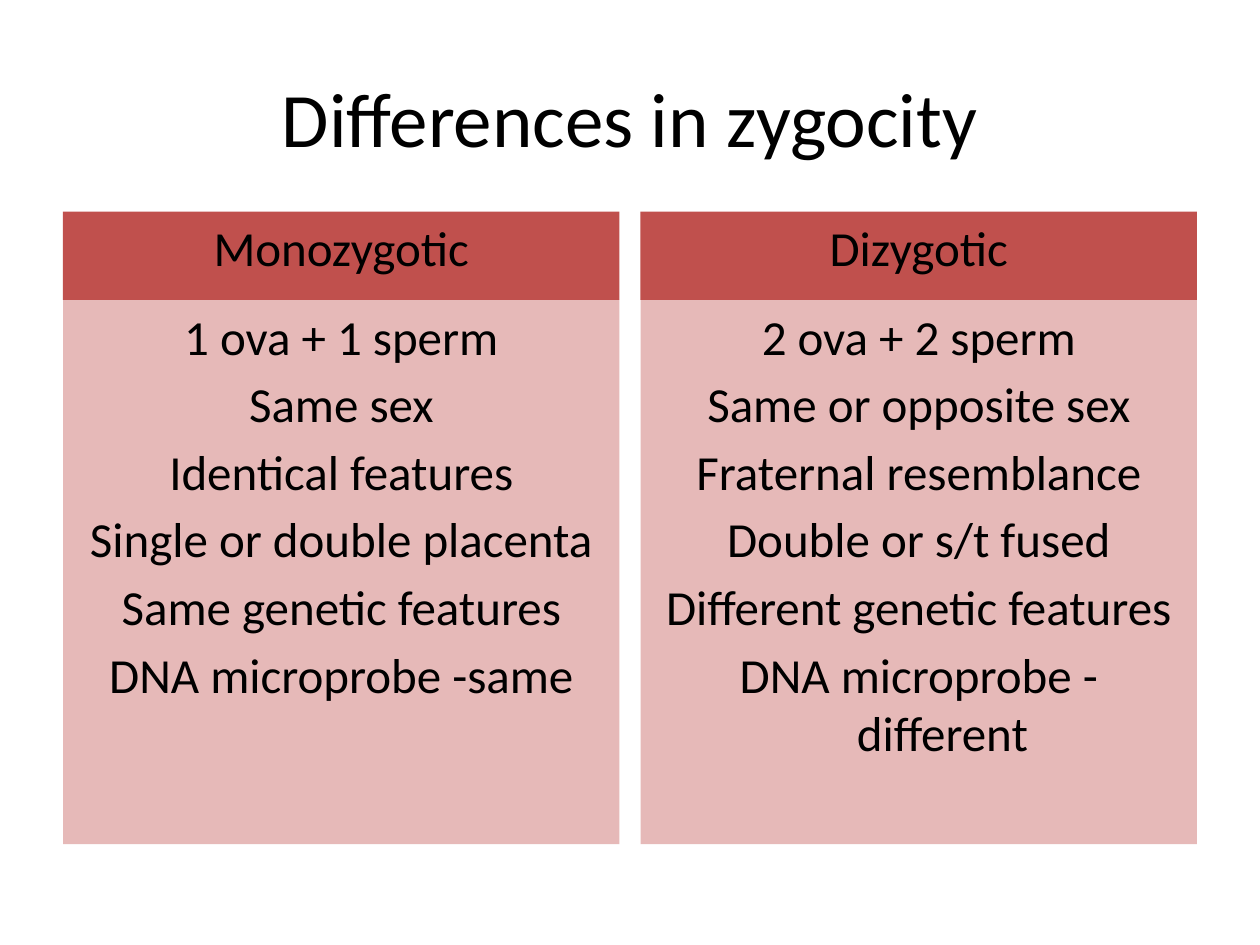
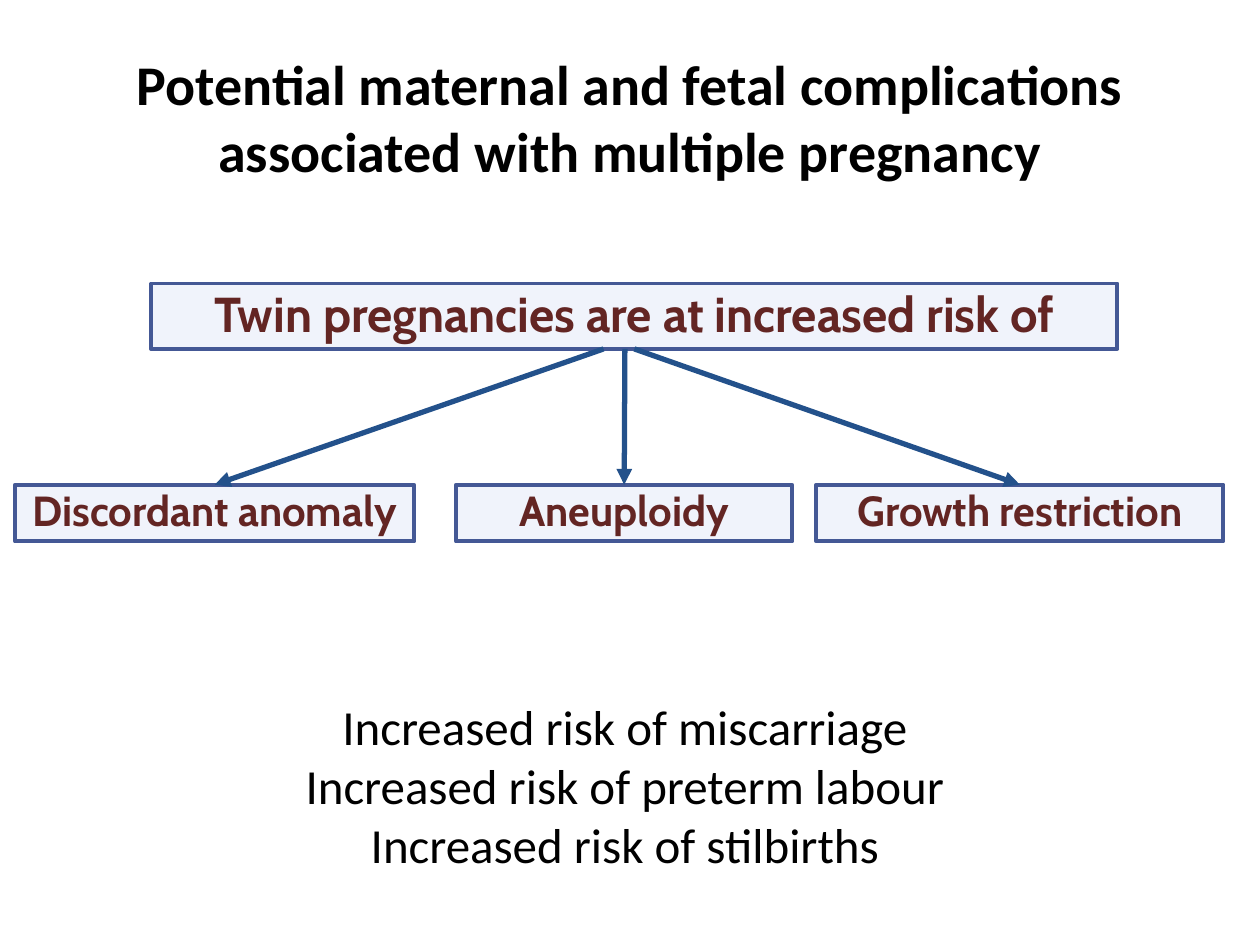
from lxml import etree
from pptx import Presentation
from pptx.dml.color import RGBColor
from pptx.enum.shapes import MSO_CONNECTOR, MSO_SHAPE
from pptx.enum.text import MSO_ANCHOR, MSO_AUTO_SIZE, PP_ALIGN
from pptx.oxml.ns import qn
from pptx.util import Pt

RECTANGLE = MSO_SHAPE.RECTANGLE
STRAIGHT = MSO_CONNECTOR.STRAIGHT
CENTER = PP_ALIGN.CENTER
TOP, MIDDLE = MSO_ANCHOR.TOP, MSO_ANCHOR.MIDDLE
FIXED, GROW = MSO_AUTO_SIZE.NONE, MSO_AUTO_SIZE.SHAPE_TO_FIT_TEXT
SIDE_TOP, SIDE_BOTTOM = 0, 2
TWO_CONTENT, TITLE_ONLY = 3, 5

COLORS = {
    "text": "000000",
    "header": "C0504D",
    "column": "E6B9B8",
    "risk_fill": "F0F3FB",
    "risk_line": "445895",
    "risk_text": "632523",
    "arrow": "23518B",
}
TITLE_BOX = (36, 21.6, 648, 90)
COLUMN_TOP, COLUMN_WIDTH, COLUMN_HEIGHT = 121, 318, 361.4
COLUMN_LEFTS = (36, 366)
HEADER_HEIGHT = 50.4
HANGING = 27

COLUMNS = (
    ("Monozygotic", (
        "1 ova + 1 sperm", "Same sex", "Identical features",
        "Single or double placenta", "Same genetic features",
        "DNA microprobe -same")),
    ("Dizygotic", (
        "2 ova + 2 sperm", "Same or opposite sex", "Fraternal resemblance",
        "Double or s/t fused", "Different genetic features",
        "DNA microprobe - different")),
)
RISK_HEADING = "Twin pregnancies are at increased risk of"
RISKS = (
    ("Discordant anomaly", 0, 228.2, 258.5),
    ("Aneuploidy", 252, 192.2, 270.7),
    ("Growth restriction", 457.9, 232.6, None),
)
OUTCOMES = (
    "Increased risk of miscarriage",
    "Increased risk of preterm labour",
    "Increased risk of stilbirths",
)


def rgb(name):
    return RGBColor.from_string(COLORS[name])


def set_format(target, values):
    for name, value in values.items():
        setattr(target, name, value)


def place(shape, box):
    set_format(shape, dict(zip(("left", "top", "width", "height"), map(Pt, box))))


def write(shape, lines, size, color="text", font="Calibri", bold=False,
          anchor=TOP, fit=FIXED, inset=None, gap=0, hanging=0):
    frame = shape.text_frame
    set_format(frame, {"word_wrap": True, "vertical_anchor": anchor, "auto_size": fit})
    if inset is not None:
        sides = ("left", "top", "right", "bottom")
        set_format(frame, {f"margin_{side}": Pt(inset) for side in sides})
    for index, line in enumerate(lines):
        para = frame.add_paragraph() if index else frame.paragraphs[0]
        para.text = line
        set_format(para, {"alignment": CENTER, "space_before": Pt(gap if index else 0)})
        if hanging:
            properties = para._p.get_or_add_pPr()
            properties.set("marL", str(Pt(hanging)))
            properties.set("indent", str(-Pt(hanging)))
            etree.SubElement(properties, qn("a:buNone"))
        set_format(para.font, {"name": font, "size": Pt(size), "bold": bold})
        para.font.color.rgb = rgb(color)


def add_rectangle(page, box, fill, line=None):
    shape = page.shapes.add_shape(RECTANGLE, *map(Pt, box))
    shape.shadow.inherit = False
    shape.fill.solid()
    shape.fill.fore_color.rgb = rgb(fill)
    if line:
        shape.line.color.rgb = rgb(line)
        shape.line.width = Pt(2.25)
    else:
        shape.line.fill.background()
    return shape


def add_page(deck, layout, title, size, bold=False):
    page = deck.slides.add_slide(deck.slide_layouts[layout])
    place(page.shapes.title, TITLE_BOX)
    write(page.shapes.title, [title], size, bold=bold, anchor=MIDDLE)
    return page


def add_column(page, body, box, heading, features):
    left, top, width, height = box
    header = add_rectangle(page, (left, top, width, HEADER_HEIGHT), "header")
    write(header, [heading], 28)
    place(body, (left, top + HEADER_HEIGHT, width, height - HEADER_HEIGHT))
    body.fill.solid()
    body.fill.fore_color.rgb = rgb("column")
    write(body, features, 28, gap=5, hanging=HANGING)


def add_risk_box(page, box, text, size):
    shape = add_rectangle(page, box, "risk_fill", "risk_line")
    write(shape, [text], size, "risk_text", "Cabin", True, fit=GROW, inset=0)
    return shape


def add_arrow(page, heading, risk, start_left):
    bottom = heading.top + heading.height
    arrow = page.shapes.add_connector(STRAIGHT, start_left or 0, bottom, 0, risk.top)
    if start_left is None:
        arrow.begin_connect(heading, SIDE_BOTTOM)
    arrow.end_connect(risk, SIDE_TOP)
    arrow.line.color.rgb = rgb("arrow")
    arrow.line.width = Pt(3)
    etree.SubElement(arrow.line._get_or_add_ln(), qn("a:tailEnd"), type="triangle")
    etree.SubElement(arrow._element.spPr, qn("a:effectLst"))


def add_risk_tree(page, box):
    left, top, width, height = box
    heading = add_risk_box(page, (left + 77.8, top, 552.2, 37.4), RISK_HEADING, 28)
    row_height = 32.4
    for text, offset, risk_width, start in RISKS:
        risk_box = (left + offset, top + height - row_height, risk_width, row_height)
        risk = add_risk_box(page, risk_box, text, 24)
        start_left = None if start is None else heading.left + Pt(start)
        add_arrow(page, heading, risk, start_left)


def add_outcomes(page, box):
    shape = page.shapes.add_textbox(*map(Pt, box))
    write(shape, OUTCOMES, 28, fit=GROW)


def build_zygocity(deck):
    page = add_page(deck, TWO_CONTENT, "Differences in zygocity", 44)
    bodies = [item for item in page.placeholders if item.placeholder_format.idx]
    for body, left, (heading, features) in zip(bodies, COLUMN_LEFTS, COLUMNS):
        box = (left, COLUMN_TOP, COLUMN_WIDTH, COLUMN_HEIGHT)
        add_column(page, body, box, heading, features)


def build_complications(deck):
    title = ("Potential maternal and fetal complications "
             "associated with multiple pregnancy")
    page = add_page(deck, TITLE_ONLY, title, 32, True)
    add_risk_tree(page, (8.6, 162, 690.5, 147.4))
    add_outcomes(page, (51, 394.6, 612, 108.7))


def main():
    deck = Presentation()
    set_format(deck, {"slide_width": Pt(720), "slide_height": Pt(540)})
    build_zygocity(deck)
    build_complications(deck)
    deck.save("out.pptx")


if __name__ == "__main__":
    main()
